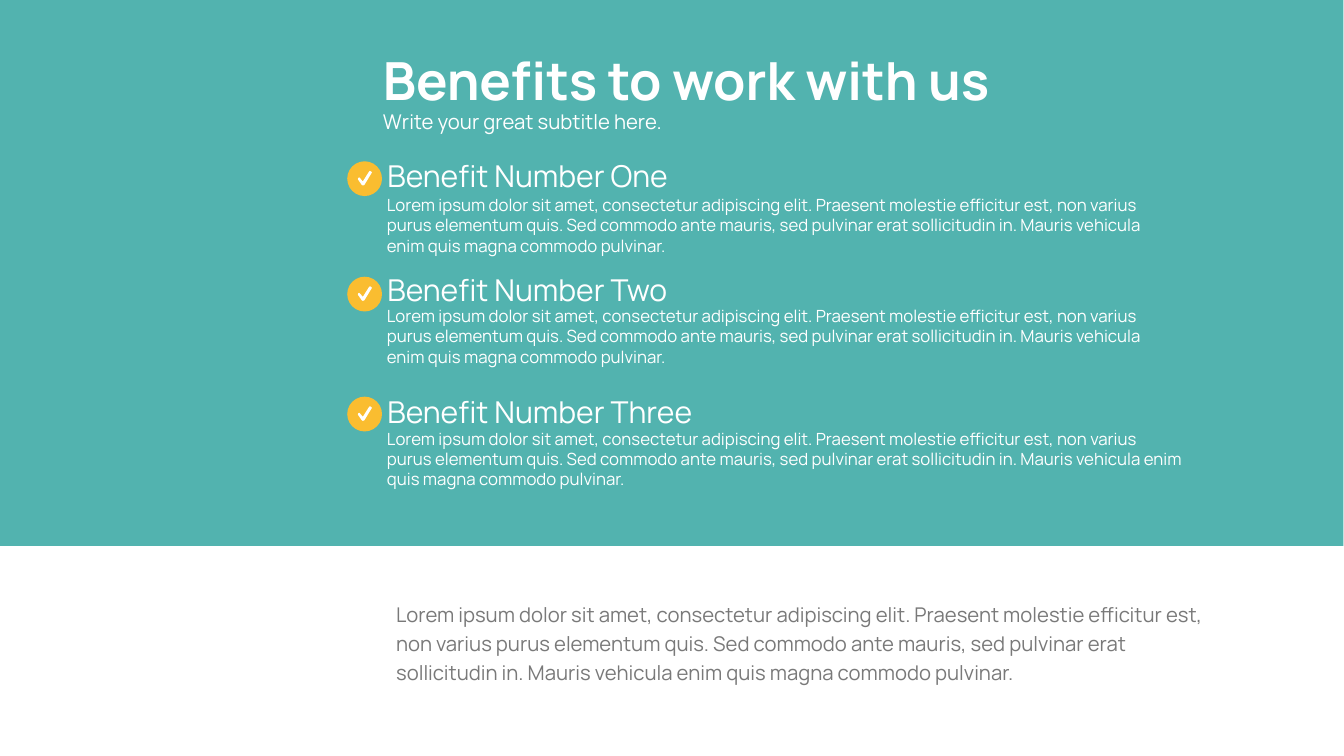
from pptx import Presentation
from pptx.dml.color import RGBColor
from pptx.enum.shapes import MSO_SHAPE
from pptx.enum.text import MSO_ANCHOR, MSO_AUTO_SIZE, PP_ALIGN
from pptx.util import Inches, Pt

COLORS = {"teal": "52B3AF", "amber": "FABD30", "white": "FFFFFF", "gray": "797979"}
LOREM = (
    "Lorem ipsum dolor sit amet, consectetur adipiscing elit. Praesent molestie "
    "efficitur est, non varius purus elementum quis. Sed commodo ante mauris, sed "
    "pulvinar erat sollicitudin in. Mauris vehicula enim quis magna commodo pulvinar."
)


def write(box, text, size, color="white", bold=False, inset=(0.1, 0.05),
          anchor=MSO_ANCHOR.TOP, fit=MSO_AUTO_SIZE.NONE, spacing=1.0):
    frame = box.text_frame
    frame.word_wrap = True
    frame.auto_size = fit
    frame.vertical_anchor = anchor
    frame.margin_left = frame.margin_right = Inches(inset[0])
    frame.margin_top = frame.margin_bottom = Inches(inset[1])
    para = frame.paragraphs[0]
    para.alignment = PP_ALIGN.LEFT
    para.line_spacing = spacing
    para.space_before = Pt(0)
    span = para.add_run()
    span.text = text
    span.font.name = "Manrope"
    span.font.size = Pt(size)
    span.font.bold = bold
    span.font.color.rgb = RGBColor.from_string(COLORS[color])


def paint(shape, color):
    shape.shadow.inherit = False
    shape.fill.solid()
    shape.fill.fore_color.rgb = RGBColor.from_string(COLORS[color])
    shape.line.fill.background()


deck = Presentation()
deck.slide_width = Inches(26.67)
deck.slide_height = Inches(15)
page = deck.slides.add_slide(deck.slide_layouts[5])

title = page.shapes.title
title.left, title.top = Inches(7.33), Inches(0.83)
title.width, title.height = Inches(15.96), Inches(1.6)
write(title, "Benefits to work with us", 75, bold=True, inset=(0.27, 0.13))

band = page.shapes.add_shape(
    MSO_SHAPE.RECTANGLE, Inches(-0.01), Inches(-0.03), Inches(26.67), Inches(10.86))
paint(band, "teal")
title.element.addprevious(band.element)

subtitle = page.shapes.add_textbox(Inches(7.33), Inches(2.04), Inches(15.96), Inches(0.85))
write(subtitle, "Write your great subtitle here.", 29, inset=(0.27, 0.13))

benefits = [
    ("Benefit Number One", 3.08, 3.82, 3.2, 15.53),
    ("Benefit Number Two", 5.33, 6.02, 5.49, 15.53),
    ("Benefit Number Three", 7.75, 8.45, 7.87, 16.01),
]
check_points = [(29, 47), (22, 37), (21, 35), (22, 33), (24, 32), (26, 34), (31, 40),
                (43, 21), (45, 19), (47, 20), (49, 22), (48, 24), (34, 47), (31, 48)]
for heading, heading_top, body_top, disc_top, body_width in benefits:
    group = page.shapes.add_group_shape()
    body = group.shapes.add_textbox(
        Inches(7.58), Inches(body_top), Inches(body_width), Inches(1.31))
    write(body, LOREM, 24, fit=MSO_AUTO_SIZE.SHAPE_TO_FIT_TEXT)
    label = group.shapes.add_textbox(
        Inches(7.59), Inches(heading_top), Inches(11.2), Inches(0.82))
    write(label, heading, 43, anchor=MSO_ANCHOR.MIDDLE, fit=MSO_AUTO_SIZE.SHAPE_TO_FIT_TEXT)
    disc = group.shapes.add_shape(
        MSO_SHAPE.OVAL, Inches(6.89), Inches(disc_top), Inches(0.69), Inches(0.69))
    paint(disc, "amber")
    outline = group.shapes.build_freeform(31, 48, scale=Inches(0.01))
    outline.add_line_segments(check_points, close=True)
    check = outline.convert_to_shape(Inches(6.89), Inches(disc_top))
    paint(check, "white")

summary = page.shapes.add_textbox(Inches(7.59), Inches(11.72), Inches(17.08), Inches(2.03))
write(summary, LOREM, 29, "gray", inset=(0.27, 0.13),
      fit=MSO_AUTO_SIZE.SHAPE_TO_FIT_TEXT, spacing=1.2)

deck.save("out.pptx")
